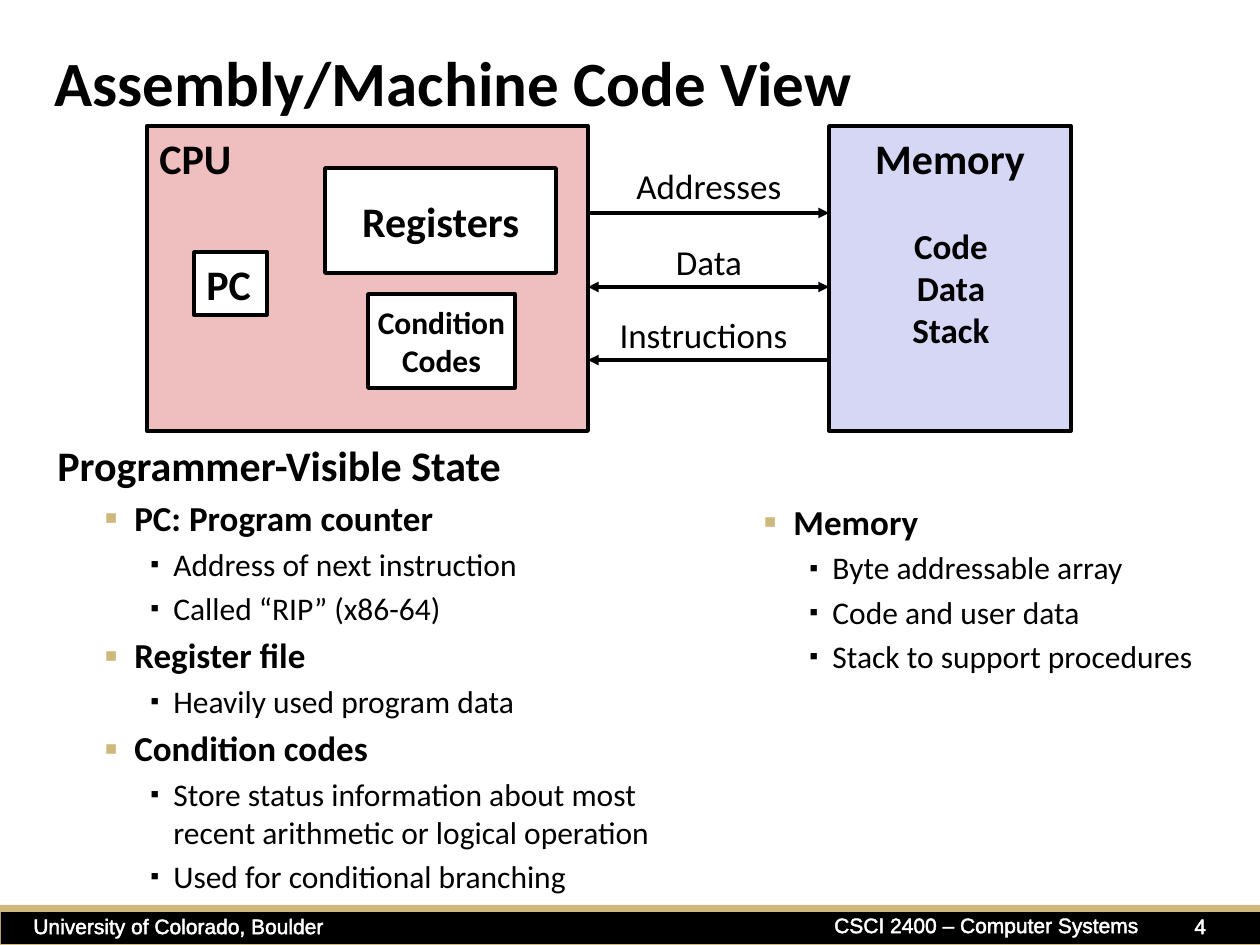
from dataclasses import dataclass

from pptx import Presentation
from pptx.dml.color import RGBColor
from pptx.enum.shapes import MSO_CONNECTOR as Connector, MSO_SHAPE as Shape
from pptx.enum.text import MSO_ANCHOR as Anchor, MSO_AUTO_SIZE as AutoSize, PP_ALIGN as Align
from pptx.oxml.ns import qn
from pptx.util import Emu, Pt
from lxml.etree import SubElement

PX = 914400 / 126
COLORS = {
    "black": "000000", "white": "FFFFFF", "gold": "CFB87C",
    "cpu": "EFBFBF", "memory": "D6D6F5",
}


@dataclass(frozen=True)
class Area:
    left: int
    top: int
    width: int
    height: int

    def emu(self) -> list[Emu]:
        return [px(n) for n in (self.left, self.top, self.width, self.height)]


@dataclass(frozen=True)
class Block:
    area: Area
    text: str
    fill: str = "white"
    size: int = 24
    align: Align = Align.CENTER
    anchor: Anchor = Anchor.MIDDLE
    wrap: bool = False
    line: float = 2


@dataclass(frozen=True)
class Bus:
    label: str
    label_area: Area
    y: int
    to_cpu: bool
    to_memory: bool


@dataclass(frozen=True)
class Level:
    size: int
    bold: bool
    indent: int
    hanging: int
    bullet_percent: int = 0
    bullet_color: str = "black"


LEVELS = [
    Level(24, True, 32, 32),
    Level(20, True, 77, 30, 110, "gold"),
    Level(18, False, 116, 23, 80),
]
RIGHT_SHIFT = -37

BLOCKS = [
    Block(Area(147, 126, 441, 305), "CPU", "cpu", align=Align.LEFT,
          anchor=Anchor.TOP, wrap=True, line=2.25),
    Block(Area(194, 252, 73, 63), "PC", align=Align.LEFT),
    Block(Area(325, 168, 231, 105), "Registers"),
    Block(Area(829, 126, 242, 305), "Memory", "memory", anchor=Anchor.TOP),
    Block(Area(368, 294, 147, 94), "Condition\nCodes", size=18),
]
BUSES = [
    Bus("Addresses", Area(588, 158, 242, 54), 213, False, True),
    Bus("Data", Area(588, 234, 242, 54), 287, True, True),
    Bus("Instructions", Area(588, 307, 231, 54), 360, True, False),
]
STATE = [
    (0, "Programmer-Visible State"),
    (1, "PC: Program counter"),
    (2, "Address of next instruction"),
    (2, "Called “RIP” (x86-64)"),
    (1, "Register file"),
    (2, "Heavily used program data"),
    (1, "Condition codes"),
    (2, "Store status information about most recent arithmetic or logical operation"),
    (2, "Used for conditional branching"),
]
MEMORY = [
    (1, "Memory"),
    (2, "Byte addressable array"),
    (2, "Code and user data"),
    (2, "Stack to support procedures"),
]
FOOTER = [
    (Area(21, 907, 318, 38), "University of Colorado, Boulder", Align.LEFT),
    (Area(819, 906, 335, 38), "CSCI 2400 – Computer Systems", Align.CENTER),
    (Area(1182, 907, 58, 38), "4", Align.LEFT),
]


def px(count: int) -> Emu:
    return Emu(round(count * PX))


def color(name: str) -> RGBColor:
    return RGBColor.from_string(COLORS[name])


def write_span(para, text: str, *, size: int, bold: bool = False, ink: str = "black",
               face: str = "Calibri", outline: bool = False) -> None:
    span = para.add_run()
    span.text = text
    font = span.font
    font.size, font.bold, font.name = Pt(size), bold, face
    font.color.rgb = color(ink)
    if outline:
        edge = font._element.makeelement(qn("a:ln"), {"w": str(Pt(0.75))})
        fill = SubElement(edge, qn("a:solidFill"))
        SubElement(fill, qn("a:srgbClr"), val=COLORS[ink])
        font._element.insert(0, edge)


def write_text(frame, text: str, *, align: Align = Align.LEFT, anchor: Anchor = Anchor.TOP,
               wrap: bool = True, **span_format) -> None:
    frame.word_wrap, frame.vertical_anchor = wrap, anchor
    frame.auto_size = AutoSize.NONE
    for index, line in enumerate(text.split("\n")):
        para = frame.add_paragraph() if index else frame.paragraphs[0]
        para.alignment = align
        write_span(para, line, **span_format)


def add_text(page, area: Area, text: str, **text_format) -> None:
    write_text(page.shapes.add_textbox(*area.emu()).text_frame, text, **text_format)


def add_box(page, area: Area, fill: str, line: float = 0):
    box = page.shapes.add_shape(Shape.RECTANGLE, *area.emu())
    box.shadow.inherit = False
    box.fill.solid()
    box.fill.fore_color.rgb = color(fill)
    if line:
        box.line.color.rgb = color("black")
        box.line.width = Pt(line)
    else:
        box.line.fill.background()
    return box


def add_block(page, block: Block) -> None:
    box = add_box(page, block.area, block.fill, block.line)
    write_text(box.text_frame, block.text, align=block.align, anchor=block.anchor,
               wrap=block.wrap, size=block.size, bold=True)


def add_bus(page, bus: Bus) -> None:
    arrow = page.shapes.add_connector(Connector.STRAIGHT, px(588), px(bus.y), px(829), px(bus.y))
    arrow.line.color.rgb = color("black")
    arrow.line.width = Pt(2)
    stroke = arrow.line._get_or_add_ln()
    for shown, end in ((bus.to_cpu, "a:headEnd"), (bus.to_memory, "a:tailEnd")):
        if shown:
            SubElement(stroke, qn(end), type="triangle")
    SubElement(arrow._element.spPr, qn("a:effectLst"))
    add_text(page, bus.label_area, bus.label, align=Align.CENTER, size=20)


def add_outline(page, area: Area, items: list[tuple[int, str]], shift: int = 0) -> None:
    frame = page.shapes.add_textbox(*area.emu()).text_frame
    frame.word_wrap = True
    for index, (depth, text) in enumerate(items):
        level = LEVELS[depth]
        para = frame.add_paragraph() if index else frame.paragraphs[0]
        para.level = depth
        layout = para._p.get_or_add_pPr()
        layout.set("marL", str(px(level.indent + shift)))
        layout.set("indent", str(px(-level.hanging)))
        if level.bullet_percent:
            tint = SubElement(layout, qn("a:buClr"))
            SubElement(tint, qn("a:srgbClr"), val=COLORS[level.bullet_color])
            SubElement(layout, qn("a:buSzPct"), val=str(level.bullet_percent * 1000))
            SubElement(layout, qn("a:buFont"), typeface="Arial")
            SubElement(layout, qn("a:buChar"), char="▪")
        if index:
            para.space_before = Pt(level.size * 0.2)
        write_span(para, text, size=level.size, bold=level.bold)


def main() -> None:
    deck = Presentation()
    deck.slide_width, deck.slide_height = px(1260), px(945)
    page = deck.slides.add_slide(deck.slide_layouts[5])

    # Title
    title = page.shapes.title
    title.left, title.top, title.width, title.height = Area(42, 42, 995, 79).emu()
    write_text(title.text_frame, "Assembly/Machine Code View", anchor=Anchor.MIDDLE,
               size=36, bold=True)

    # Footer bars and text
    add_box(page, Area(0, 905, 1260, 40), "gold")
    add_box(page, Area(1, 912, 1259, 32), "black")
    for area, text, align in FOOTER:
        add_text(page, area, text, align=align, size=12, ink="white", face="Arial", outline=True)

    # Processor and memory diagram
    for block in BLOCKS:
        add_block(page, block)
    add_text(page, Area(872, 218, 158, 140), "Code\nData\nStack", align=Align.CENTER,
             size=20, bold=True)
    for bus in BUSES:
        add_bus(page, bus)

    # Explanations
    add_outline(page, Area(45, 433, 669, 426), STATE)
    add_outline(page, Area(741, 494, 499, 217), MEMORY, RIGHT_SHIFT)

    deck.save("out.pptx")


if __name__ == "__main__":
    main()
